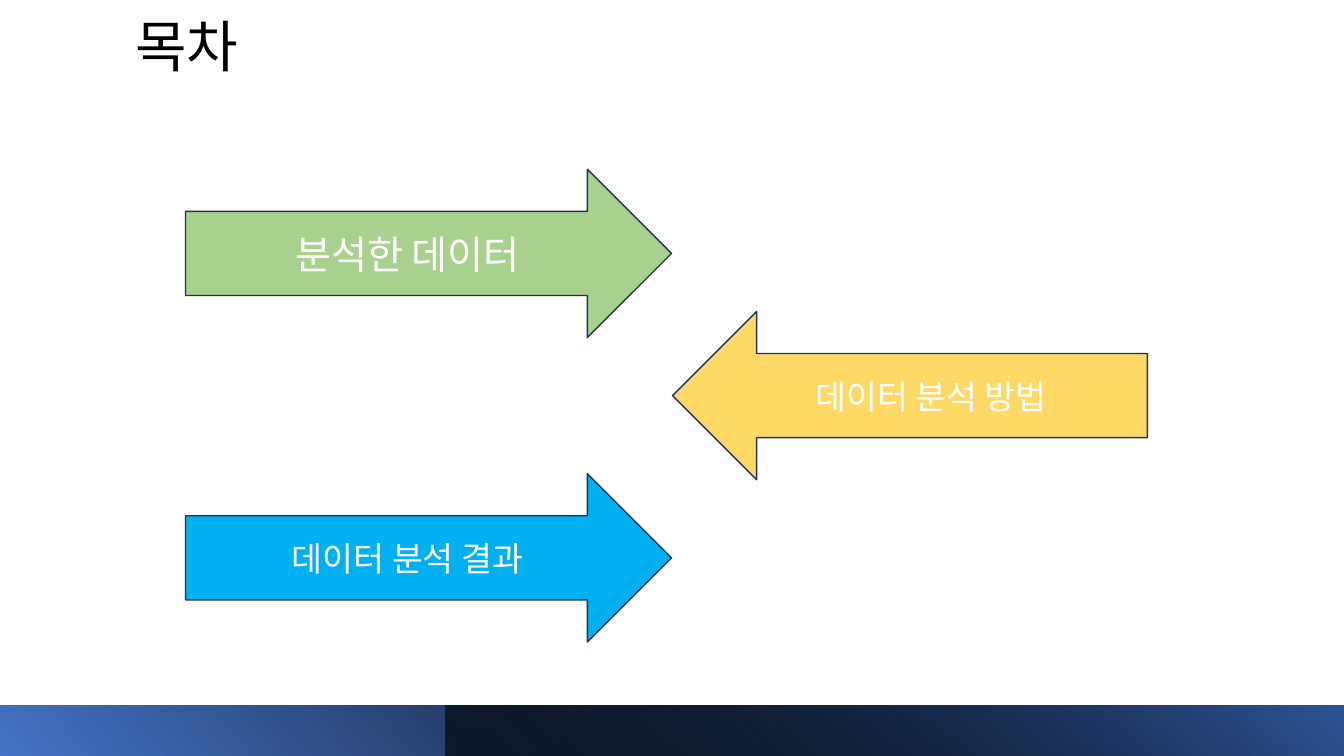
from pptx import Presentation
from pptx.dml.color import RGBColor
from pptx.enum.shapes import MSO_SHAPE
from pptx.enum.text import MSO_ANCHOR, PP_ALIGN
from pptx.oxml.ns import qn
from pptx.util import Inches, Pt
from lxml.etree import SubElement

BLACK = RGBColor(0x00, 0x00, 0x00)
WHITE = RGBColor(0xFF, 0xFF, 0xFF)
BLUE = RGBColor(0x44, 0x72, 0xC4)
DEEP_BLUE = RGBColor(0x2F, 0x55, 0x97)
NAVY = RGBColor(0x1E, 0x32, 0x56)
GREEN = RGBColor(0xA9, 0xD1, 0x8E)
YELLOW = RGBColor(0xFF, 0xD9, 0x66)
SKY = RGBColor(0x00, 0xB0, 0xF0)
FONT = "Noto Sans CJK KR"


def write(tf, text, size, color, align=None, anchor=MSO_ANCHOR.MIDDLE, spacing=None):
    tf.word_wrap = True
    tf.vertical_anchor = anchor
    p = tf.paragraphs[0]
    p.alignment = align
    p.line_spacing = spacing
    r = p.add_run()
    r.text = text
    r.font.size = Pt(size)
    r.font.name = FONT
    r.font.color.rgb = color
    SubElement(r.font._element, qn("a:ea"), typeface=FONT)


class AgendaSlide:
    def __init__(self, prs):
        self.s = prs.slides.add_slide(prs.slide_layouts[5])

    def title(self, text, x, y, w, h):
        sp = self.s.shapes.title
        sp.left, sp.top, sp.width, sp.height = map(Inches, (x, y, w, h))
        write(sp.text_frame, text, 40, BLACK, align=PP_ALIGN.LEFT,
              anchor=MSO_ANCHOR.BOTTOM, spacing=0.9)

    def shape(self, kind, x, y, w, h, flip=False):
        sp = self.s.shapes.add_shape(kind, *map(Inches, (x, y, w, h)))
        sp.shadow.inherit = False
        if flip:
            sp._element.spPr.find(qn("a:xfrm")).set("flipH", "1")
        return sp

    def band(self, x, w, stops, angle, rotation=0):
        sp = self.shape(MSO_SHAPE.RECTANGLE, x, 7, w, 0.5, flip=True)
        sp.rotation = rotation
        sp.line.fill.background()
        sp.fill.gradient()
        sp.fill.gradient_angle = 360 - angle
        for stop, (position, color, opacity) in zip(sp.fill.gradient_stops, stops):
            stop.position = position
            stop.color.rgb = color
            if opacity < 100:
                clr = stop._gs.find(qn("a:srgbClr"))
                SubElement(clr, qn("a:alpha"), val=str(opacity * 1000))

    def arrow(self, text, x, y, w, color, size=24, flip=False):
        sp = self.shape(MSO_SHAPE.RIGHT_ARROW, x, y, w, 1.67, flip)
        sp.fill.solid()
        sp.fill.fore_color.rgb = color
        sp.line.color.rgb = NAVY
        sp.line.width = Pt(1)
        write(sp.text_frame, text, size, WHITE, align=PP_ALIGN.CENTER)


def main():
    prs = Presentation()
    prs.slide_width, prs.slide_height = Inches(13.33), Inches(7.5)
    agenda = AgendaSlide(prs)
    agenda.title("목차", 1.24, 0, 10.6, 0.84)
    agenda.band(0, 13.33, [(0, BLUE, 100), (0.78, BLACK, 100)], 40, rotation=180)
    agenda.band(4.42, 8.92, [(0, BLACK, 63), (1, DEEP_BLUE, 100)], 230)
    agenda.arrow("분석한 데이터", 1.84, 1.68, 4.82, GREEN, size=28)
    agenda.arrow("데이터 분석 방법", 6.67, 3.09, 4.71, YELLOW, flip=True)
    agenda.arrow("데이터 분석 결과", 1.84, 4.7, 4.82, SKY)
    prs.save("out.pptx")


if __name__ == "__main__":
    main()
